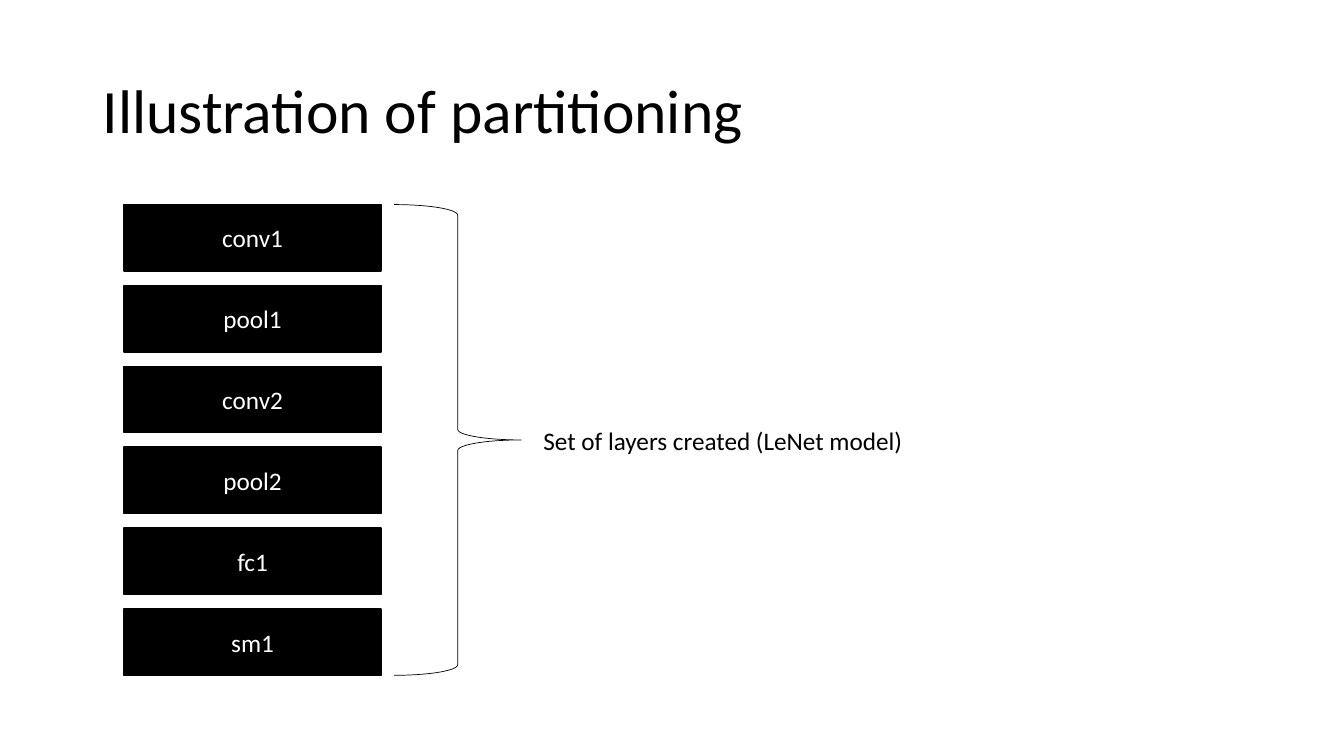
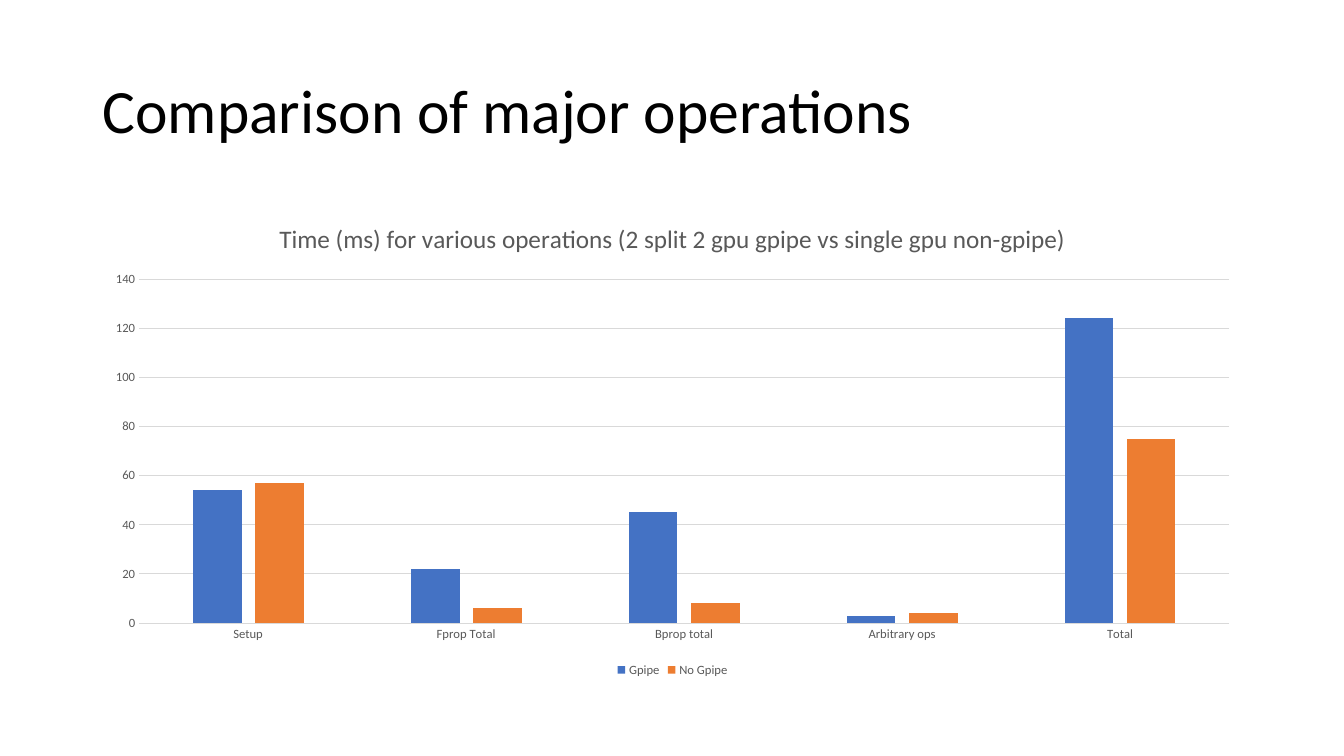
"""Build two slides: the LeNet layer set and a timing comparison of operations."""
from dataclasses import dataclass

from pptx import Presentation
from pptx.chart.data import CategoryChartData
from pptx.dml.color import RGBColor
from pptx.enum.chart import XL_CHART_TYPE as ChartType, XL_LEGEND_POSITION as LegendSpot, XL_TICK_MARK as Tick
from pptx.enum.shapes import MSO_SHAPE as Shape
from pptx.enum.text import MSO_ANCHOR as Anchor, PP_ALIGN as Align
from pptx.util import Inches, Pt


@dataclass(frozen=True)
class Theme:
    font: str = "Calibri"
    ink: str = "000000"
    paper: str = "FFFFFF"
    muted: str = "595959"
    grid: str = "D9D9D9"
    bars: tuple = ("4472C4", "ED7D31")
    title_size: float = 44
    body_size: float = 18
    label_size: float = 9


THEME = Theme()

LAYERS_TITLE = "Illustration of partitioning"
LAYERS = ["conv1", "pool1", "conv2", "pool2", "fc1", "sm1"]
LAYERS_NOTE = "Set of layers created (LeNet model)"

TIMING_TITLE = "Comparison of major operations"
TIMING_HEADING = "Time (ms) for various operations (2 split 2 gpu gpipe vs single gpu non-gpipe)"
OPERATIONS = ["Setup", "Fprop Total", "Bprop total", "Arbitrary ops", "Total"]
TIMES = {
    "Gpipe": (54, 22, 45, 3, 124),
    "No Gpipe": (57, 6, 8, 4, 75),
}

TITLE_BOX = (0.92, 0.4, 11.5, 1.45)
NOTE_BOX = (5.29, 4.17, 4.28, 0.4)
CHART_BOX = (0.92, 2, 11.5, 4.76)
STACK_LEFT, STACK_TOP, STACK_HEIGHT = 1.23, 2.03, 4.67
LAYER_WIDTH, LAYER_HEIGHT = 2.55, 0.66
BRACE_LEFT, BRACE_WIDTH = 3.91, 1.26


def inches(box):
    return [Inches(length) for length in box]


def rgb(color):
    return RGBColor.from_string(color)


def style_font(font, size, color):
    font.name, font.size, font.bold = THEME.font, Pt(size), False
    font.color.rgb = rgb(color)


def style_line(line, color, width):
    line.color.rgb = rgb(color)
    line.width = Pt(width)


def write(frame, text, size, color, align=Align.LEFT, anchor=Anchor.TOP, spacing=1.0):
    frame.word_wrap = True
    frame.vertical_anchor = anchor
    paragraph = frame.paragraphs[0]
    paragraph.alignment, paragraph.line_spacing = align, spacing
    run = paragraph.add_run()
    run.text = text
    style_font(run.font, size, color)


def titled_slide(deck, title):
    slide = deck.slides.add_slide(deck.slide_layouts[6])
    heading = slide.shapes.add_textbox(*inches(TITLE_BOX))
    write(heading.text_frame, title, THEME.title_size, THEME.ink, anchor=Anchor.MIDDLE, spacing=0.9)
    return slide


def outlined(slide, preset, box, width, fill=None):
    shape = slide.shapes.add_shape(preset, *inches(box))
    shape.shadow.inherit = False
    style_line(shape.line, THEME.ink, width)
    if fill:
        shape.fill.solid()
        shape.fill.fore_color.rgb = rgb(fill)
    else:
        shape.fill.background()
    return shape


def layers_slide(deck):
    slide = titled_slide(deck, LAYERS_TITLE)
    pitch = (STACK_HEIGHT - LAYER_HEIGHT) / (len(LAYERS) - 1)
    for row, name in enumerate(LAYERS):
        box = (STACK_LEFT, STACK_TOP + row * pitch, LAYER_WIDTH, LAYER_HEIGHT)
        layer = outlined(slide, Shape.RECTANGLE, box, 1, THEME.ink)
        write(layer.text_frame, name, THEME.body_size, THEME.paper, Align.CENTER, Anchor.MIDDLE)
    outlined(slide, Shape.RIGHT_BRACE, (BRACE_LEFT, STACK_TOP, BRACE_WIDTH, STACK_HEIGHT), 0.5)
    note = slide.shapes.add_textbox(*inches(NOTE_BOX))
    write(note.text_frame, LAYERS_NOTE, THEME.body_size, THEME.ink)


def style_axes(chart):
    for axis in (chart.category_axis, chart.value_axis):
        axis.major_tick_mark = axis.minor_tick_mark = Tick.NONE
        style_font(axis.tick_labels.font, THEME.label_size, THEME.muted)
    style_line(chart.category_axis.format.line, THEME.grid, 0.75)
    times = chart.value_axis
    times.minimum_scale, times.maximum_scale, times.major_unit = 0, 140, 20
    times.format.line.fill.background()
    style_line(times.major_gridlines.format.line, THEME.grid, 0.75)


def timing_slide(deck):
    slide = titled_slide(deck, TIMING_TITLE)
    data = CategoryChartData()
    data.categories = OPERATIONS
    for name, times in TIMES.items():
        data.add_series(name, times)
    chart = slide.shapes.add_chart(ChartType.COLUMN_CLUSTERED, *inches(CHART_BOX), data).chart
    style_font(chart.font, 10, THEME.ink)
    chart.has_title = True
    write(chart.chart_title.text_frame, TIMING_HEADING, THEME.body_size, THEME.muted, Align.CENTER)
    chart.chart_title.include_in_layout = False
    chart.has_legend = True
    chart.legend.position = LegendSpot.BOTTOM
    chart.legend.include_in_layout = False
    style_font(chart.legend.font, THEME.label_size, THEME.muted)
    style_axes(chart)
    plot = chart.plots[0]
    plot.gap_width, plot.overlap, plot.vary_by_categories = 219, -27, False
    for series, color in zip(plot.series, THEME.bars):
        series.format.fill.solid()
        series.format.fill.fore_color.rgb = rgb(color)


def main():
    deck = Presentation()
    deck.slide_width, deck.slide_height = Inches(13.33), Inches(7.5)
    layers_slide(deck)
    timing_slide(deck)
    deck.save("out.pptx")


if __name__ == "__main__":
    main()
